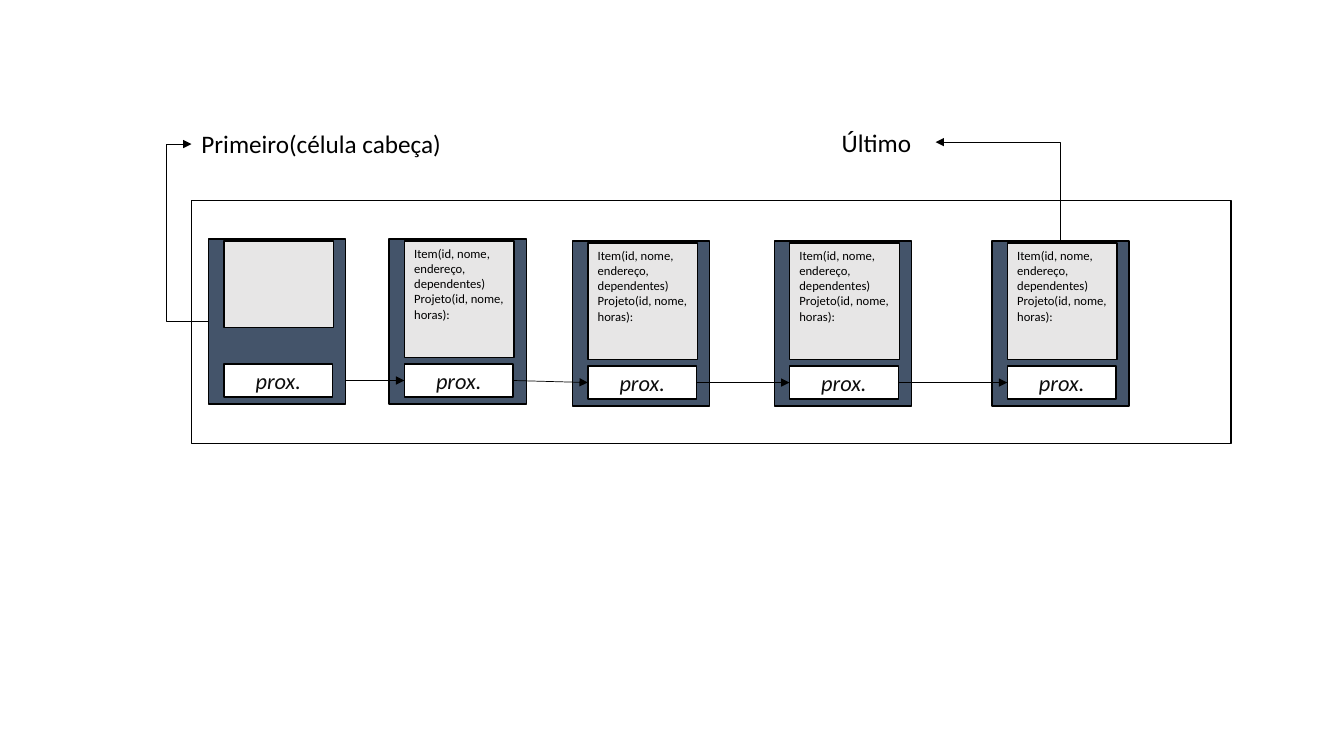
from dataclasses import dataclass

from lxml.etree import SubElement
from pptx import Presentation
from pptx.dml.color import RGBColor
from pptx.enum.shapes import MSO_CONNECTOR as Connector, MSO_SHAPE as Shape
from pptx.enum.text import MSO_ANCHOR as Anchor, PP_ALIGN as Align
from pptx.oxml.ns import qn
from pptx.util import Inches, Pt


@dataclass(frozen=True)
class Theme:
    """Colours, font and sizes used on the slide."""
    font: str = "Calibri"
    black: RGBColor = RGBColor(0x00, 0x00, 0x00)
    white: RGBColor = RGBColor(0xFF, 0xFF, 0xFF)
    cell: RGBColor = RGBColor(0x44, 0x54, 0x6A)
    item: RGBColor = RGBColor(0xE7, 0xE6, 0xE6)
    pointer: RGBColor = RGBColor(0x0D, 0x0D, 0x0D)
    label_size: Pt = Pt(18)
    pointer_size: Pt = Pt(16)
    item_size: Pt = Pt(9)
    border: Pt = Pt(1)
    arrow: Pt = Pt(0.5)


THEME = Theme()
ITEM_LINES = ["Item(id, nome, endereço, dependentes)", "Projeto(id, nome, horas):"]
HEAD_CELL = (2.07, 2.37)
ITEM_CELLS = [(3.86, 2.37), (5.68, 2.39), (7.68, 2.39), (9.84, 2.39)]
POINTER_INSET, POINTER_WIDTH = 0.15, 1.08
POINTER_TOP, POINTER_HEIGHT = 1.24, 0.33


def write_text(shape, lines, size, color=THEME.black, align=Align.LEFT,
               anchor=Anchor.TOP, italic=None):
    """Fill a shape with formatted paragraphs."""
    frame = shape.text_frame
    frame.word_wrap = True
    frame.vertical_anchor = anchor
    font_format = {"name": THEME.font, "size": size, "italic": italic}
    for index, line in enumerate(lines):
        paragraph = frame.paragraphs[0] if index == 0 else frame.add_paragraph()
        paragraph.alignment = align
        run = paragraph.add_run()
        run.text = line
        for name, value in font_format.items():
            setattr(run.font, name, value)
        run.font.color.rgb = color


def add_box(slide, left, top, width, height, fill=None):
    """Add a black-bordered rectangle, transparent when no fill is given."""
    shape = slide.shapes.add_shape(Shape.RECTANGLE, *map(Inches, (left, top, width, height)))
    shape.shadow.inherit = False
    if fill is None:
        shape.fill.background()
    else:
        shape.fill.solid()
        shape.fill.fore_color.rgb = fill
    shape.line.color.rgb = THEME.black
    shape.line.width = THEME.border
    return shape


def add_label(slide, text, left, top, width):
    """Add a caption above the list."""
    label = slide.shapes.add_textbox(*map(Inches, (left, top, width, 0.4)))
    write_text(label, [text], THEME.label_size)


def add_cell(slide, left, top, item_height=1.16, lines=()):
    """Add a list cell with its item and its next pointer."""
    add_box(slide, left, top, 1.36, 1.64, THEME.cell)
    pointer = add_box(slide, left + POINTER_INSET, top + POINTER_TOP,
                      POINTER_WIDTH, POINTER_HEIGHT, THEME.white)
    write_text(pointer, ["prox."], THEME.pointer_size, THEME.pointer,
               Align.CENTER, Anchor.MIDDLE, True)
    item = add_box(slide, left + POINTER_INSET, top + 0.02, 1.09, item_height, THEME.item)
    write_text(item, lines, THEME.item_size)


def add_arrow(slide, start, end, kind=Connector.STRAIGHT, arrowhead="tailEnd"):
    """Add a thin connector with one triangular arrowhead."""
    arrow = slide.shapes.add_connector(kind, *map(Inches, (*start, *end)))
    arrow.line.color.rgb = THEME.black
    arrow.line.width = THEME.arrow
    properties = arrow._element.spPr
    SubElement(properties.find(qn("a:ln")), qn(f"a:{arrowhead}"), type="triangle")
    SubElement(properties, qn("a:effectLst"))
    return properties.find(qn("a:prstGeom"))


def add_head_arrow(slide):
    """Lead from the head cell around the frame to its label."""
    geometry = add_arrow(slide, (2.07, 3.19), (1.9, 1.43), Connector.ELBOW)
    SubElement(geometry.find(qn("a:avLst")), qn("a:gd"), name="adj1", fmla="val 247500")


def add_last_arrow(slide):
    """Join the last cell to its label with a single corner."""
    geometry = add_arrow(slide, (9.28, 1.41), (10.52, 2.39), Connector.ELBOW, "headEnd")
    geometry.set("prst", "bentConnector2")


def add_next_arrow(slide, source, target):
    """Join the next pointer of one cell to the following cell."""
    middle = POINTER_TOP + POINTER_HEIGHT / 2
    add_arrow(slide, (source[0] + POINTER_INSET + POINTER_WIDTH, source[1] + middle),
              (target[0] + POINTER_INSET, target[1] + middle))


def main():
    """Build the linked list slide and save it."""
    presentation = Presentation()
    presentation.slide_width, presentation.slide_height = Inches(13.33), Inches(7.5)
    slide = presentation.slides.add_slide(presentation.slide_layouts[6])
    add_label(slide, "Primeiro(célula cabeça)", 1.9, 1.22, 2.6)
    add_label(slide, "Último", 8.25, 1.21, 1.03)
    for left, top in ITEM_CELLS:
        add_cell(slide, left, top, lines=ITEM_LINES)
    add_next_arrow(slide, HEAD_CELL, ITEM_CELLS[0])
    add_head_arrow(slide)
    add_last_arrow(slide)
    add_box(slide, 1.9, 1.99, 10.31, 2.41)
    add_cell(slide, *HEAD_CELL, item_height=0.86)
    for source, target in zip(ITEM_CELLS, ITEM_CELLS[1:]):
        add_next_arrow(slide, source, target)
    presentation.save("out.pptx")


if __name__ == "__main__":
    main()
